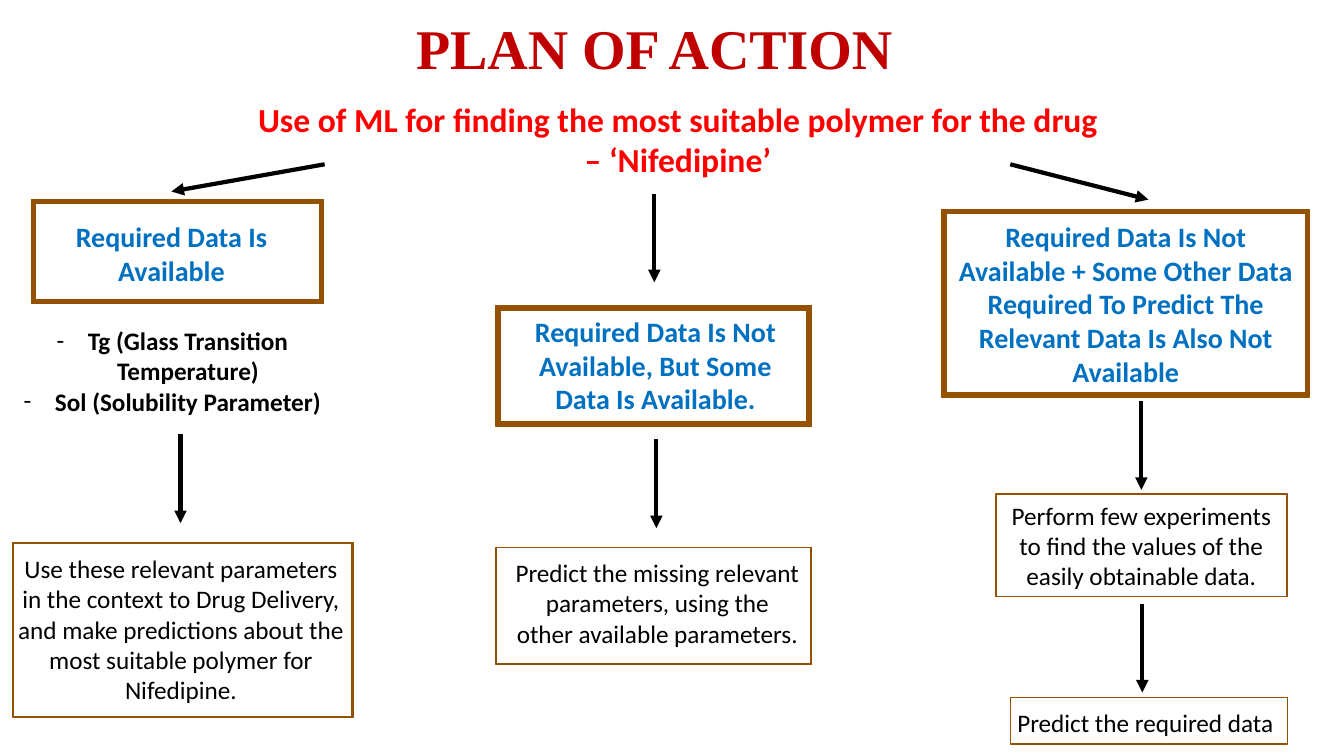
"""Build the Plan of Action flowchart slide."""
from lxml import etree
from pptx import Presentation, util as u
from pptx.dml.color import RGBColor
from pptx.enum import shapes, text
from pptx.oxml.ns import qn

PX = 9144
BLACK, BLUE, BROWN = "000000", "0070C0", "945200"


def rgb(value):
    return RGBColor.from_string(value)


def add_text(box, lines, size, color, bold=False, font="Calibri"):
    tf = s.shapes.add_textbox(*[v * PX for v in box]).text_frame
    tf.word_wrap = True
    for i, line in enumerate(lines):
        p = tf.paragraphs[0] if i == 0 else tf.add_paragraph()
        p.alignment = text.PP_ALIGN.CENTER
        r = p.add_run()
        r.text = line
        r.font.name, r.font.size, r.font.bold = font, u.Pt(size), bold
        r.font.color.rgb = rgb(color)
    return tf


prs = Presentation()
prs.slide_width, prs.slide_height = 1333 * PX, 750 * PX
s = prs.slides.add_slide(prs.slide_layouts[6])

title = add_text((74, 16, 1150, 92), ["PLAN OF ACTION"], 40, "C00000", True, "Times New Roman")
title.paragraphs[0].line_spacing = 0.9
add_text((246, 93, 853, 91),
         ["Use of ML for finding the most suitable polymer for the drug – ‘Nifedipine’"],
         24, "FF0000", True)

headings = [
    ((19, 213, 302, 77), "Required Data Is Available"),
    ((499, 307, 302, 111), "Required Data Is Not Available, But Some Data Is Available."),
    ((934, 213, 365, 178), "Required Data Is Not Available + Some Other Data Required "
                           "To Predict The Relevant Data Is Also Not Available"),
]
for box, heading in headings:
    add_text(box, [heading], 20, BLUE, True)

steps = [
    ((8, 544, 343, 162), "Use these relevant parameters in the context to Drug Delivery, "
                         "and make predictions about the most suitable polymer for Nifedipine."),
    ((501, 548, 302, 101), "Predict the missing relevant parameters, "
                           "using the other available parameters."),
    ((981, 491, 302, 101), "Perform few experiments to find the values "
                           "of the easily obtainable data."),
    ((985, 697, 302, 40), "Predict the required data"),
]
for box, step in steps:
    add_text(box, [step], 18, BLACK)

parameters = add_text((8, 318, 326, 101),
                      ["Tg (Glass Transition Temperature)", "Sol (Solubility Parameter)"],
                      18, BLACK, True)
for p in parameters.paragraphs:
    pPr = p._p.get_or_add_pPr()
    pPr.set("marL", str(31 * PX))
    pPr.set("indent", str(-31 * PX))
    etree.SubElement(pPr, qn("a:buFont")).set("typeface", "Calibri")
    etree.SubElement(pPr, qn("a:buChar")).set("char", "-")

frames = [
    ((31, 198, 290, 103), 0.038),
    ((492, 303, 313, 120), 0.038),
    ((934, 208, 365, 186), 0.022),
    ((13, 538, 337, 174), 0.004),
    ((492, 543, 313, 116), 0.004),
    ((988, 490, 289, 102), 0.004),
    ((1002, 692, 275, 46), 0.004),
]
for box, thickness in frames:
    sp = s.shapes.add_shape(shapes.MSO_SHAPE.FRAME, *[v * PX for v in box])
    sp.adjustments[0] = thickness
    sp.shadow.inherit = False
    sp.fill.solid()
    sp.fill.fore_color.rgb = rgb(BROWN)
    sp.line.color.rgb = rgb(BROWN)
    sp.line.width = u.Pt(1)

arrows = [(322, 163, 170, 190), (1002, 163, 1139, 198)]
drops = [(649, 192), (651, 436), (179, 431), (1132, 398), (1133, 599)]
arrows += [(x, y, x, y + 88) for x, y in drops]
for ends in arrows:
    arrow = s.shapes.add_connector(shapes.MSO_CONNECTOR.STRAIGHT, *[v * PX for v in ends])
    arrow.line.color.rgb = rgb(BLACK)
    arrow.line.width = u.Pt(3)
    etree.SubElement(arrow.line._get_or_add_ln(), qn("a:tailEnd")).set("type", "triangle")
    etree.SubElement(arrow._element.spPr, qn("a:effectLst"))

prs.save("out.pptx")
